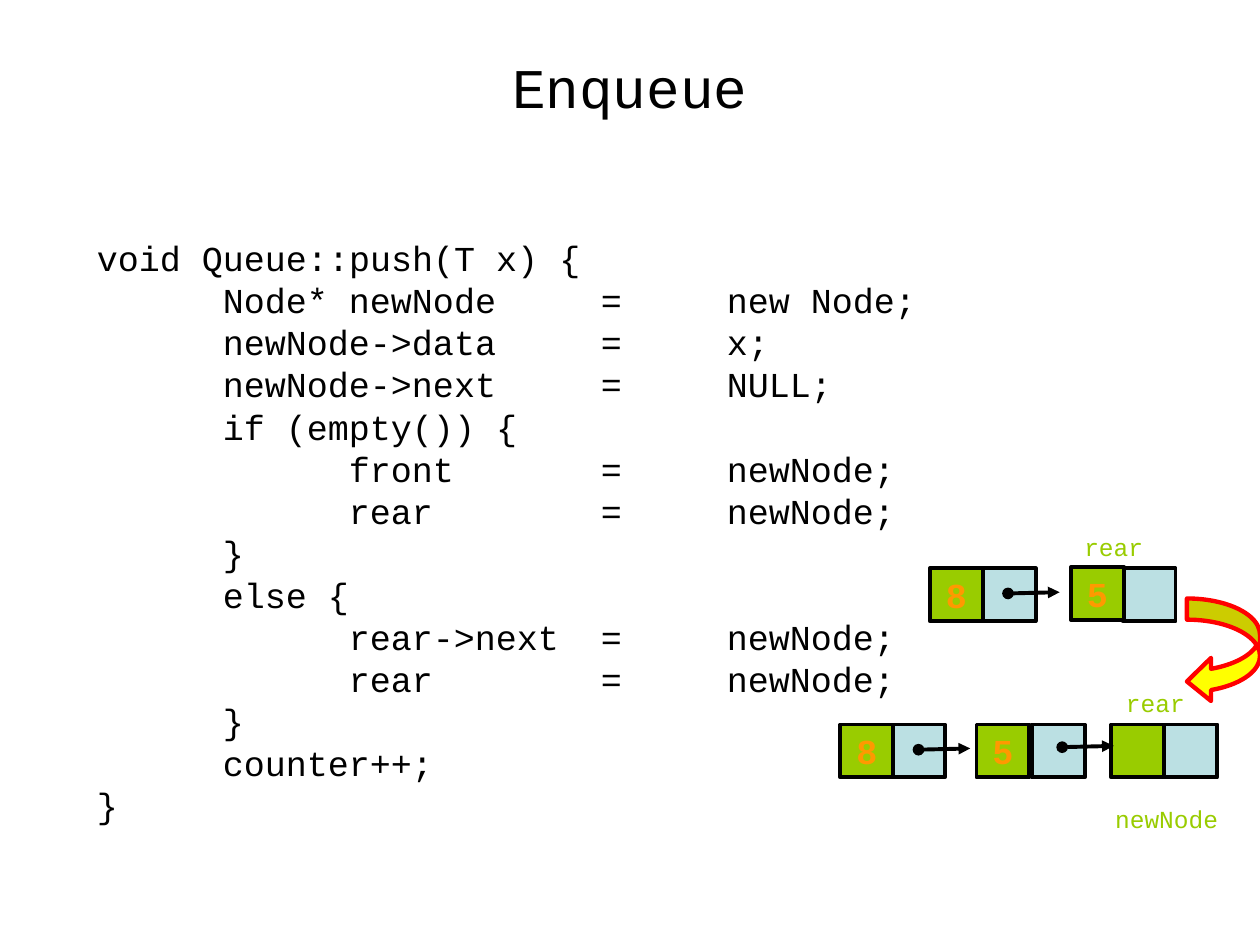
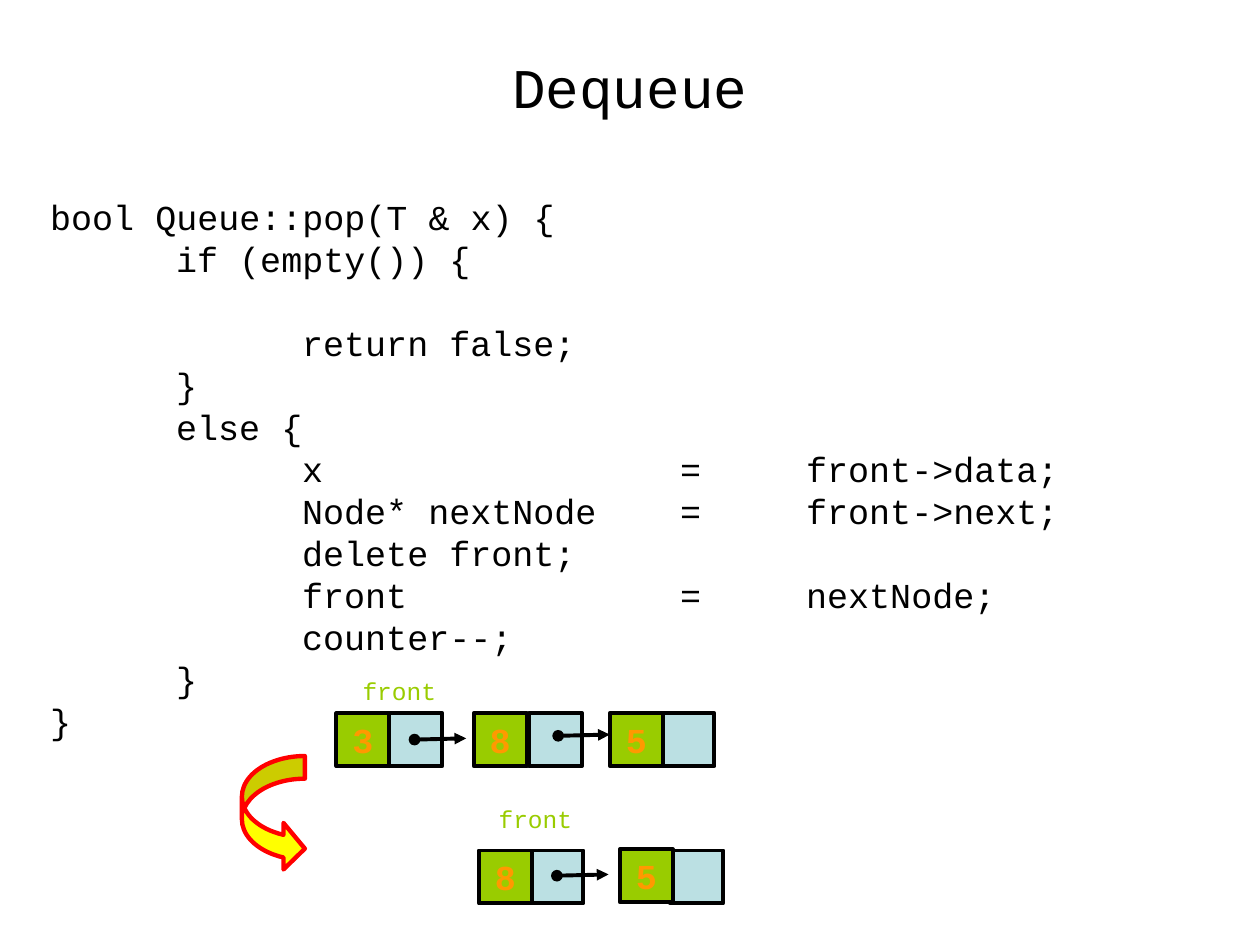
from lxml import etree
from pptx import Presentation
from pptx.dml.color import RGBColor
from pptx.enum.shapes import MSO_CONNECTOR, MSO_SHAPE
from pptx.enum.text import MSO_ANCHOR, PP_ALIGN
from pptx.oxml.ns import qn
from pptx.util import Inches, Pt

BLACK = RGBColor(0, 0, 0)
GREEN = RGBColor(0x99, 0xCC, 0x00)
PALE_BLUE = RGBColor(0xBB, 0xE0, 0xE3)
ORANGE = RGBColor(0xFF, 0x99, 0x00)
YELLOW = RGBColor(0xFF, 0xFF, 0x00)
RED = RGBColor(0xFF, 0x00, 0x00)

CELL = 0.42
TITLE = {"name": "Courier New", "size": Pt(32)}
CODE = {"name": "Courier New", "size": Pt(20)}
LABEL = {"name": "Courier New", "size": Pt(14)}
DIGIT = {"name": "Courier New", "size": Pt(20), "bold": True}

PUSH_CODE = """void Queue::push(T x) {
\tNode* newNode\t=\tnew Node;
\tnewNode->data\t=\tx;
\tnewNode->next\t=\tNULL;
\tif (empty()) {
\t\tfront\t\t=\tnewNode;
\t\trear\t\t=\tnewNode;
\t}
\telse {
\t\trear->next\t=\tnewNode;
\t\trear\t\t=\tnewNode;
\t}
\tcounter++;
}"""

POP_CODE = """bool Queue::pop(T & x) {
\tif (empty()) {
\t\treturn false;
\t}
\telse {
\t\tx\t\t\t=\tfront->data;
\t\tNode* nextNode\t=\tfront->next;
\t\tdelete front;
\t\tfront\t\t\t=\tnextNode;
\t\tcounter--;
\t}
}"""

# Nodes: value, data cell (left, top), pointer cell (left, top)
# Links: start of the arrow; labels: text and top left corner
SLIDES = [
    {
        "title": "Enqueue",
        "code": (PUSH_CODE, 0.67, 1.83, 7, 4.77),
        "nodes": [
            ("8", (7.38, 4.51), (7.8, 4.51)),
            ("5", (8.5, 4.5), (8.91, 4.51)),
            ("8", (6.67, 5.75), (7.08, 5.75)),
            ("5", (7.75, 5.75), (8.19, 5.75)),
            ("", (8.82, 5.75), (9.24, 5.75)),
        ],
        "links": [(8, 4.71), (7.29, 5.95), (8.43, 5.93)],
        "labels": [("rear", 8.26, 4.17), ("rear", 8.59, 5.41), ("newNode", 8.68, 6.33)],
        "turn": (MSO_SHAPE.CURVED_LEFT_ARROW, (9.42, 4.75, 0.58, 0.83), (0.29, 0.59, 0.33)),
    },
    {
        "title": "Dequeue",
        "code": (POP_CODE, 0.3, 1.5, 8.5, 4.44),
        "nodes": [
            ("3", (2.67, 5.66), (3.09, 5.66)),
            ("8", (3.76, 5.66), (4.2, 5.66)),
            ("5", (4.84, 5.66), (5.25, 5.66)),
            ("8", (3.8, 6.75), (4.21, 6.75)),
            ("5", (4.92, 6.74), (5.32, 6.75)),
        ],
        "links": [(3.29, 5.87), (4.43, 5.84), (4.42, 6.95)],
        "labels": [("front", 2.59, 5.32), ("front", 3.67, 6.33)],
        "turn": (MSO_SHAPE.CURVED_RIGHT_ARROW, (1.92, 6, 0.5, 0.92), (0.36, 0.74, 0.34)),
    },
]


def write(box, text, style, color, align=PP_ALIGN.CENTER, anchor=MSO_ANCHOR.MIDDLE):
    frame = box.text_frame
    frame.word_wrap = True
    frame.vertical_anchor = anchor
    for number, line in enumerate(text.split("\n")):
        para = frame.add_paragraph() if number else frame.paragraphs[0]
        para.alignment = align
        span = para.add_run()
        span.text = line
        span.font.color.rgb = color
        for key, value in style.items():
            setattr(span.font, key, value)
    return frame


def add_block(page, kind, place, fill, line, width):
    block = page.shapes.add_shape(kind, *map(Inches, place))
    block.shadow.inherit = False
    block.fill.solid()
    block.fill.fore_color.rgb = fill
    block.line.color.rgb = line
    block.line.width = Pt(width)
    return block


deck = Presentation()
deck.slide_width, deck.slide_height = Inches(10), Inches(7.5)

for content in SLIDES:
    page = deck.slides.add_slide(deck.slide_layouts[6])

    # Title
    title = page.shapes.add_textbox(*map(Inches, (0.5, 0.3, 9, 0.77)))
    write(title, content["title"], TITLE, BLACK)

    # Code with a tab stop at every inch
    code, *place = content["code"]
    listing = page.shapes.add_textbox(*map(Inches, place))
    frame = write(listing, code, CODE, BLACK, PP_ALIGN.LEFT)
    for para in frame.paragraphs:
        para.line_spacing = Pt(24)
        if "return" in para.text:
            para.space_before = Pt(24)
        stops = etree.SubElement(para._p.get_or_add_pPr(), qn("a:tabLst"))
        for inch in range(8):
            etree.SubElement(stops, qn("a:tab"), pos=str(Inches(inch)), algn="l")

    # List nodes: pointer cell, then data cell
    for value, data, pointer in content["nodes"]:
        add_block(page, MSO_SHAPE.RECTANGLE, (*pointer, CELL, CELL), PALE_BLUE, BLACK, 2.25)
        cell = add_block(page, MSO_SHAPE.RECTANGLE, (*data, CELL, CELL), GREEN, BLACK, 2.25)
        if value:
            frame = write(cell, value, DIGIT, ORANGE)
            for side in ("left", "right", "top", "bottom"):
                setattr(frame, f"margin_{side}", 0)

    # Links between nodes
    for left, top in content["links"]:
        ends = (left, top, left + 0.41, top - 0.01)
        link = page.shapes.add_connector(MSO_CONNECTOR.STRAIGHT, *map(Inches, ends))
        link.line.color.rgb = BLACK
        link.line.width = Pt(2.25)
        outline = link.line._get_or_add_ln()
        etree.SubElement(outline, qn("a:headEnd"), type="oval")
        etree.SubElement(outline, qn("a:tailEnd"), type="triangle")
        etree.SubElement(link._element.spPr, qn("a:effectLst"))

    # Pointer names
    for text, left, top in content["labels"]:
        label = page.shapes.add_textbox(*map(Inches, (left, top, 1.16, 0.34)))
        write(label, text, LABEL, GREEN, anchor=MSO_ANCHOR.TOP)

    # Curved arrow from the list before to the list after
    kind, place, bends = content["turn"]
    turn = add_block(page, kind, place, YELLOW, RED, 2.5)
    for index, bend in enumerate(bends):
        turn.adjustments[index] = bend

deck.save("out.pptx")
